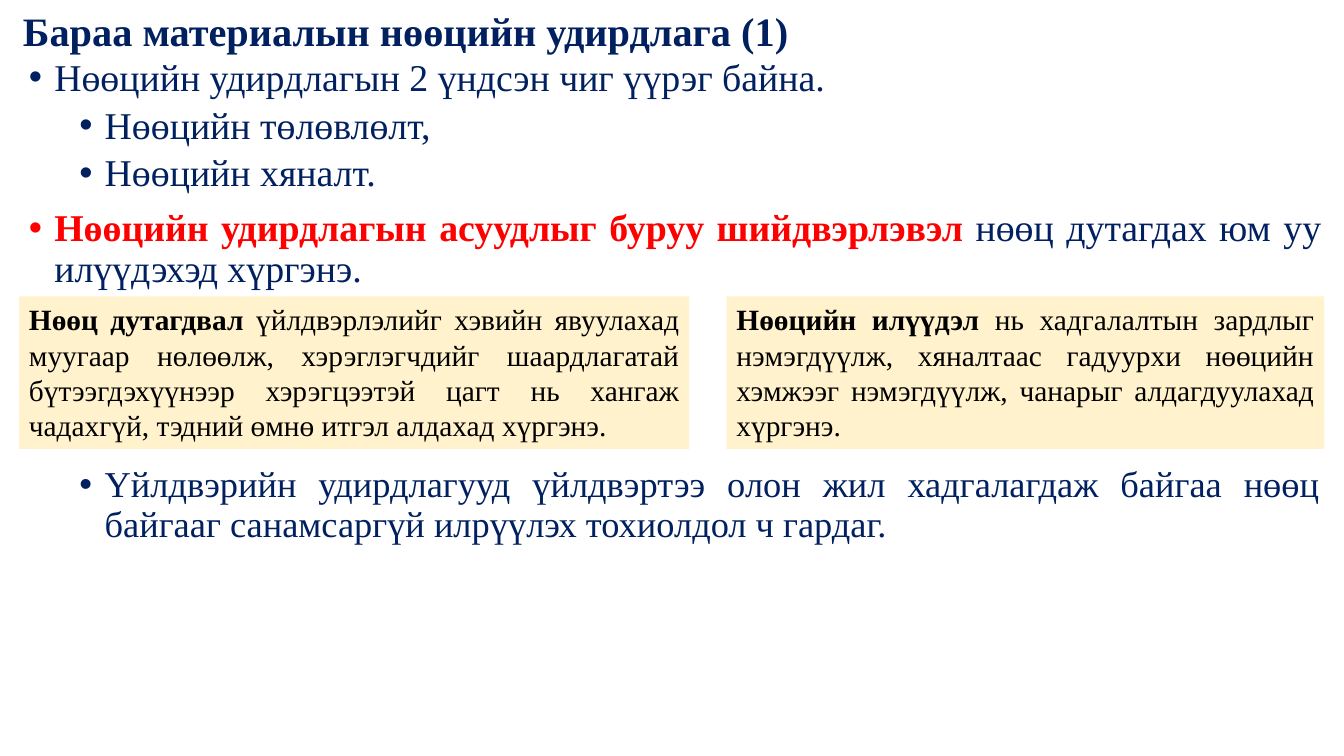
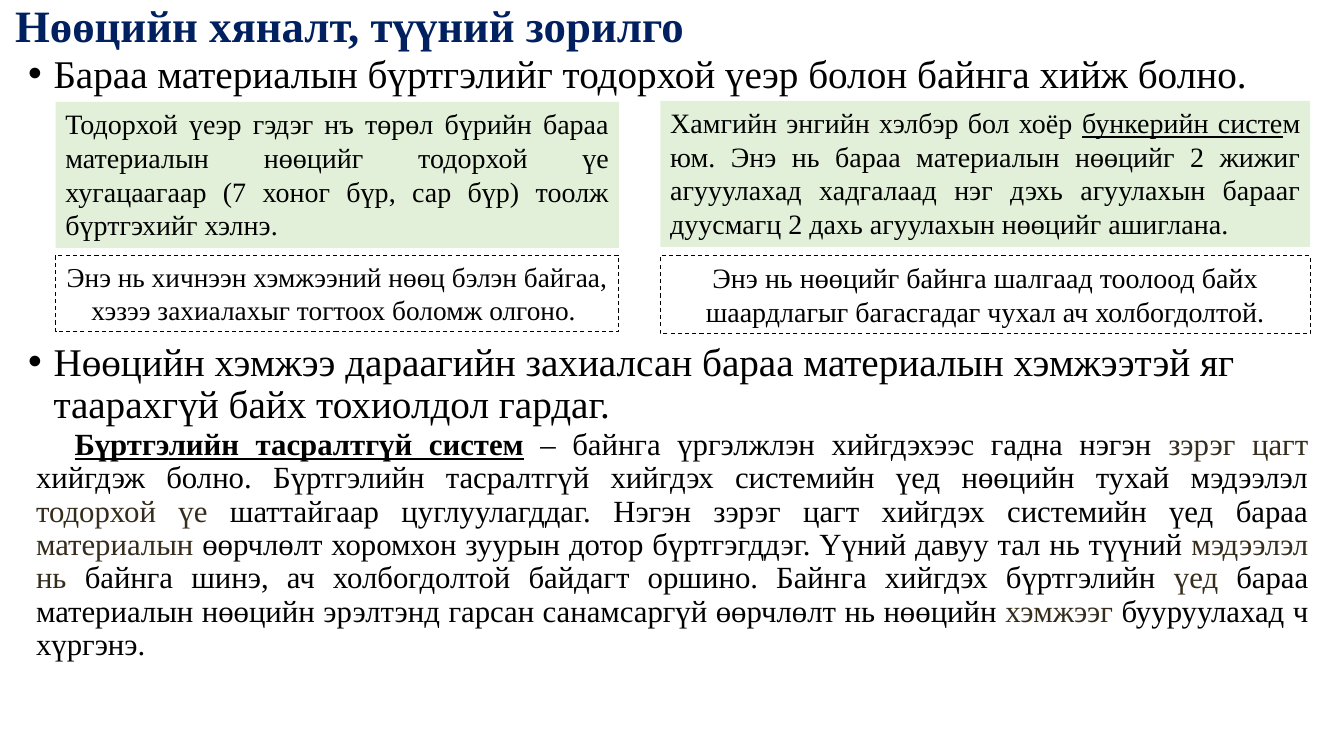
from dataclasses import dataclass
from typing import Optional

from lxml.etree import SubElement
from pptx import Presentation
from pptx.dml.color import RGBColor
from pptx.enum.dml import MSO_LINE
from pptx.enum.shapes import MSO_SHAPE
from pptx.enum.text import MSO_ANCHOR, PP_ALIGN
from pptx.oxml.ns import qn
from pptx.util import Cm, Pt

# Shared style
FONT = "Times New Roman"
NAVY = RGBColor(0x00, 0x20, 0x60)
BLACK = RGBColor(0x00, 0x00, 0x00)
RED = RGBColor(0xFF, 0x00, 0x00)
BROWN = RGBColor(0x35, 0x2C, 0x1C)
CREAM = RGBColor(0xFF, 0xF2, 0xCC)
GREEN = RGBColor(0xE2, 0xF0, 0xD9)
LEFT, CENTER, JUSTIFY = PP_ALIGN.LEFT, PP_ALIGN.CENTER, PP_ALIGN.JUSTIFY
TIGHT = 0.9
BULLET_HANG = 0.64
LEVEL_STEP = 1.27


@dataclass(frozen=True)
class Run:
    text: str
    bold: bool = False
    underline: bool = False
    color: Optional[RGBColor] = None


@dataclass(frozen=True)
class Item:
    """A bulleted paragraph."""
    runs: tuple[Run, ...]
    level: int = 0
    align: PP_ALIGN = LEFT


@dataclass(frozen=True)
class Box:
    """Position and size in centimetres."""
    left: float
    top: float
    width: float
    height: float

    def lengths(self) -> tuple:
        return Cm(self.left), Cm(self.top), Cm(self.width), Cm(self.height)


@dataclass(frozen=True)
class Panel:
    box: Box
    runs: tuple[Run, ...]
    size: float
    fill: Optional[RGBColor] = None
    align: PP_ALIGN = JUSTIFY


def write(paragraph, runs: tuple[Run, ...], *, size: float, color: RGBColor = BLACK,
          align: PP_ALIGN = LEFT, spacing: float = 1.0, before: float = 0,
          level: int = 0, bullet: bool = False, first_indent: float = 0) -> None:
    """Fill one paragraph with formatted runs."""
    paragraph.alignment = align
    paragraph.level = level
    paragraph.line_spacing = spacing
    paragraph.space_before = Pt(before)
    properties = paragraph._p.get_or_add_pPr()
    margin = BULLET_HANG + level * LEVEL_STEP if bullet else 0
    indent = -BULLET_HANG if bullet else first_indent
    properties.set("marL", str(Cm(margin)))
    properties.set("indent", str(Cm(indent)))
    if bullet:
        SubElement(properties, qn("a:buFont")).set("typeface", "Arial")
        SubElement(properties, qn("a:buChar")).set("char", "•")
    for part in runs:
        run = paragraph.add_run()
        run.text = part.text
        run.font.name = FONT
        run.font.size = Pt(size)
        run.font.bold = part.bold
        run.font.underline = part.underline
        run.font.color.rgb = part.color or color


def add_text_frame(slide, box: Box):
    text_frame = slide.shapes.add_textbox(*box.lengths()).text_frame
    text_frame.word_wrap = True
    return text_frame


def add_title(slide, box: Box, text: str, size: float) -> None:
    text_frame = add_text_frame(slide, box)
    text_frame.vertical_anchor = MSO_ANCHOR.MIDDLE
    write(text_frame.paragraphs[0], (Run(text, bold=True),), size=size,
          color=NAVY, spacing=TIGHT)


def add_bullets(slide, box: Box, items: list[Item], size: float, color: RGBColor) -> None:
    text_frame = add_text_frame(slide, box)
    for index, item in enumerate(items):
        paragraph = text_frame.add_paragraph() if index else text_frame.paragraphs[0]
        before = (5 if item.level else 10) if index else 0
        write(paragraph, item.runs, size=size, color=color, align=item.align,
              spacing=TIGHT, before=before, level=item.level, bullet=True)


def add_panel(slide, panel: Panel) -> None:
    """Draw a filled panel, or a dashed outline when it has no fill."""
    shape = slide.shapes.add_shape(MSO_SHAPE.RECTANGLE, *panel.box.lengths())
    shape.shadow.inherit = False
    if panel.fill is None:
        shape.fill.background()
        shape.line.color.rgb = BLACK
        shape.line.width = Pt(0.75)
        shape.line.dash_style = MSO_LINE.DASH
    else:
        shape.fill.solid()
        shape.fill.fore_color.rgb = panel.fill
        shape.line.fill.background()
    text_frame = shape.text_frame
    text_frame.word_wrap = True
    text_frame.vertical_anchor = MSO_ANCHOR.TOP
    write(text_frame.paragraphs[0], panel.runs, size=panel.size, align=panel.align)


def build_management_slide(slide) -> None:
    add_title(slide, Box(0.33, 0.33, 33.07, 1.02),
              "Бараа материалын нөөцийн удирдлага (1)", 28.8)

    # Main points
    add_bullets(slide, Box(0.48, 1.35, 33.07, 6.71), [
        Item((Run("Нөөцийн удирдлагын 2 үндсэн чиг үүрэг байна."),)),
        Item((Run("Нөөцийн төлөвлөлт,"),), level=1),
        Item((Run("Нөөцийн хяналт."),), level=1),
        Item((Run("Нөөцийн удирдлагын асуудлыг буруу шийдвэрлэвэл ", bold=True, color=RED),
              Run("нөөц дутагдах юм уу илүүдэхэд хүргэнэ.")), align=JUSTIFY),
    ], 27, NAVY)

    # Shortage and surplus
    top, height = 7.47, 3.84
    for panel in (
        Panel(Box(0.48, top, 16.89, height), (
            Run("Нөөц дутагдвал", bold=True),
            Run(" үйлдвэрлэлийг хэвийн явуулахад муугаар нөлөөлж, хэрэглэгчдийг "
                "шаардлагатай бүтээгдэхүүнээр хэрэгцээтэй цагт нь хангаж чадахгүй, "
                "тэдний өмнө итгэл алдахад хүргэнэ. ")), 21, CREAM),
        Panel(Box(18.31, top, 15.06, height), (
            Run("Нөөцийн илүүдэл ", bold=True),
            Run("нь хадгалалтын зардлыг нэмэгдүүлж, хяналтаас гадуурхи нөөцийн "
                "хэмжээг нэмэгдүүлж, чанарыг алдагдуулахад хүргэнэ. ")), 21, CREAM),
    ):
        add_panel(slide, panel)

    # Closing remark
    add_bullets(slide, Box(0.48, 11.63, 33.07, 2.26), [
        Item((Run("Үйлдвэрийн удирдлагууд үйлдвэртээ олон жил хадгалагдаж байгаа нөөц "
                  "байгааг санамсаргүй илрүүлэх тохиолдол ч гардаг."),),
             level=1, align=JUSTIFY),
    ], 26, NAVY)


def build_control_slide(slide) -> None:
    add_title(slide, Box(0.13, 0.13, 31.57, 1.17), "Нөөцийн хяналт, түүний зорилго", 32)

    # Main points
    for top, height, text in (
        (1.24, 1.55, "Бapaa материалын бүртгэлийг тодорхой үеэр болон байнга хийж болно."),
        (8.51, 2.59, "Нөөцийн хэмжээ дараагийн захиалсан бараа материалын хэмжээтэй "
                     "яг таарахгүй байх тохиолдол гардаг."),
    ):
        add_bullets(slide, Box(0.46, top, 32.56, height), [Item((Run(text),))], 28, BLACK)

    # Two methods, each with its benefit below
    left, left_width = 1.4, 14.2
    right, right_width = 16.64, 16.38
    for panel in (
        Panel(Box(left, 2.57, left_width, 3.68), (
            Run("Тодорхой үеэр гэдэг нъ төрөл бүрийн бараа материалын нөөцийг тодорхой "
                "үе хугацаагаар (7 хоног бүр, сар бүр) тоолж бүртгэхийг хэлнэ. "),),
            20, GREEN),
        Panel(Box(right, 2.54, right_width, 3.68), (
            Run("Хамгийн энгийн хэлбэр бол хоёр "),
            Run("бункерийн систе", underline=True),
            Run("м юм. Энэ нь бараа материалын нөөцийг 2 жижиг агууулахад хадгалаад "
                "нэг дэхь агуулахын барааг дуусмагц 2 дахь агуулахын нөөцийг ашиглана. ")),
            20, GREEN),
        Panel(Box(left, 6.43, left_width, 1.93), (
            Run("Энэ нь хичнээн хэмжээний нөөц бэлэн байгаа, хэзээ захиалахыг "
                "тогтоох боломж олгоно. "),), 19.5, align=CENTER),
        Panel(Box(right, 6.45, right_width, 1.96), (
            Run("Энэ нь нөөцийг байнга шалгаад тоолоод байх шаардлагыг багасгадаг "
                "чухал ач холбогдолтой."),), 20, align=CENTER),
    ):
        add_panel(slide, panel)

    # Continuous record system
    text_frame = add_text_frame(slide, Box(0.66, 10.69, 32.56, 6.17))
    write(text_frame.paragraphs[0], (
        Run("Бүртгэлийн тасралтгүй систем", bold=True, underline=True),
        Run(" – байнга үргэлжлэн хийгдэхээс гадна нэгэн "),
        Run("зэрэг цагт ", color=BROWN),
        Run("хийгдэж болно. Бүртгэлийн тасралтгүй хийгдэх системийн үед нөөцийн "
            "тухай мэдээлэл "),
        Run("тодорхой үе ", color=BROWN),
        Run("шаттайгаар цуглуулагддаг. Нэгэн зэрэг цагт хийгдэх системийн үед бараа "),
        Run("материалын ", color=BROWN),
        Run("өөрчлөлт хоромхон зуурын дотор бүртгэгддэг. Үүний давуу тал нь түүний "),
        Run("мэдээлэл нь ", color=BROWN),
        Run("байнга шинэ, ач холбогдолтой байдагт оршино. Байнга хийгдэх бүртгэлийн "),
        Run("үед ", color=BROWN),
        Run("бараа материалын нөөцийн эрэлтэнд гарсан санамсаргүй өөрчлөлт нь нөөцийн "),
        Run("хэмжээг ", color=BROWN),
        Run("бууруулахад ч хүргэнэ. "),
    ), size=22, align=JUSTIFY, spacing=TIGHT, first_indent=0.97)


def main() -> None:
    presentation = Presentation()
    presentation.slide_width = Cm(33.87)
    presentation.slide_height = Cm(19.05)
    blank_layout = presentation.slide_layouts[6]
    for build in (build_management_slide, build_control_slide):
        build(presentation.slides.add_slide(blank_layout))
    presentation.save("out.pptx")


if __name__ == "__main__":
    main()
